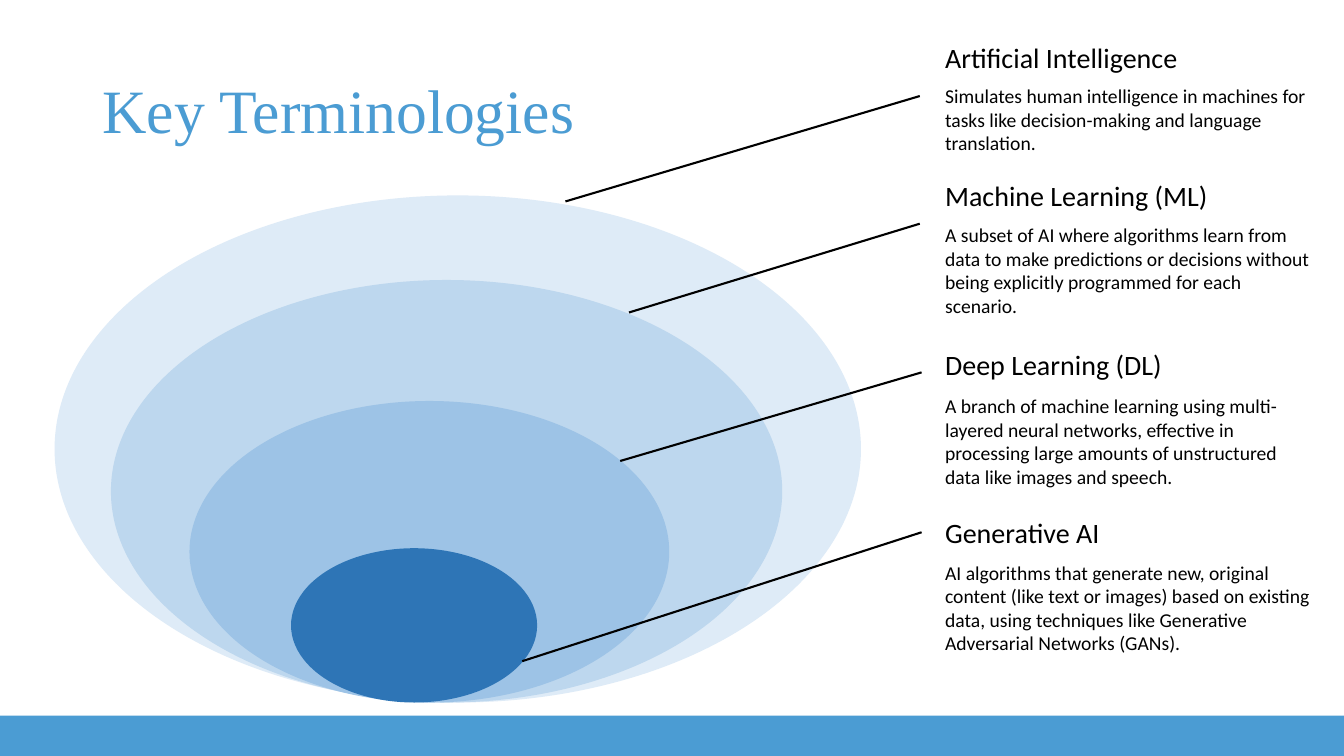
import pptx
import pptx.util
import pptx.dml.color
import pptx.enum.shapes
import pptx.enum.text
import pptx.oxml.ns
import lxml.etree

Pt = pptx.util.Pt
RGBColor = pptx.dml.color.RGBColor
SHAPES = pptx.enum.shapes.MSO_SHAPE
ALIGN = pptx.enum.text.PP_ALIGN
ANCHOR = pptx.enum.text.MSO_ANCHOR
FIT = pptx.enum.text.MSO_AUTO_SIZE

SKY = RGBColor(0x4B, 0x9C, 0xD3)
BLACK = RGBColor(0, 0, 0)
PALE = RGBColor(0xDE, 0xEB, 0xF7)
LIGHT = RGBColor(0xBD, 0xD7, 0xEE)
MEDIUM = RGBColor(0x9D, 0xC3, 0xE6)
DEEP = RGBColor(0x2E, 0x75, 0xB6)

TITLE_FONT = {"name": "Times New Roman", "size": Pt(44)}
HEADING_FONT = {"name": "Calibri", "size": Pt(20)}
BODY_FONT = {"name": "Calibri", "size": Pt(14)}

RINGS = [
    (327, 576, 362.2, PALE),
    (319, 479.5, 301.8, LIGHT),
    (306.7, 342.7, 215.4, MEDIUM),
    (295.8, 175.8, 110.2, DEEP),
]
LEADERS = [
    (403.9, 143.9, 657, 68.6),
    (449.3, 223.2, 657, 159.8),
    (443, 329.3, 658.3, 266),
    (373, 472.3, 658.3, 380.2),
]
TERMS = [
    (25.2, 183, 31.2, 58.3, "Artificial Intelligence",
     "Simulates human intelligence in machines for tasks like decision-making "
     "and language translation."),
    (124.2, 203.8, 31.6, 74.9, "Machine Learning (ML)",
     "A subset of AI where algorithms learn from data to make predictions or "
     "decisions without being explicitly programmed for each scenario."),
    (245, 170.6, 33, 74.9, "Deep Learning (DL)",
     "A branch of machine learning using multi-layered neural networks, effective "
     "in processing large amounts of unstructured data like images and speech."),
    (364.6, 126, 32.4, 74.9, "Generative AI",
     "AI algorithms that generate new, original content (like text or images) "
     "based on existing data, using techniques like Generative Adversarial "
     "Networks (GANs)."),
]


def write_text(frame, text, formats, colour):
    para = frame.paragraphs[0]
    span = para.add_run()
    span.text = text
    for name, value in formats.items():
        setattr(span.font, name, value)
    span.font.color.rgb = colour
    return para


def add_filled(shapes, kind, box, colour):
    shape = shapes.add_shape(kind, *map(Pt, box))
    shape.shadow.inherit = False
    shape.fill.solid()
    shape.fill.fore_color.rgb = colour
    shape.line.fill.background()


def add_label(shapes, box, text, formats, wrap):
    label = shapes.add_textbox(*map(Pt, box))
    frame = label.text_frame
    frame.word_wrap = wrap
    frame.auto_size = FIT.SHAPE_TO_FIT_TEXT
    write_text(frame, text, formats, BLACK)


def place_title(page, left, top, width, height):
    title = page.shapes.title
    title.left, title.top, title.width, title.height = map(Pt, (left, top, width, height))
    frame = title.text_frame
    frame.word_wrap = True
    frame.auto_size = FIT.NONE
    frame.vertical_anchor = ANCHOR.MIDDLE
    para = write_text(frame, "Key Terminologies", TITLE_FONT, SKY)
    para.alignment = ALIGN.LEFT
    para.line_spacing = 0.9


def draw_rings(page, bottom):
    group = page.shapes.add_group_shape()
    for centre, width, height, colour in RINGS:
        box = (centre - width / 2, bottom - height, width, height)
        add_filled(group.shapes, SHAPES.OVAL, box, colour)


def draw_leaders(page):
    straight = pptx.enum.shapes.MSO_CONNECTOR.STRAIGHT
    for ends in LEADERS:
        leader = page.shapes.add_connector(straight, *map(Pt, ends))
        leader.line.color.rgb = BLACK
        leader.line.width = Pt(1.5)
        lxml.etree.SubElement(leader._element.spPr, pptx.oxml.ns.qn("a:effectLst"))


def write_terms(page, left, width):
    for top, heading_width, offset, height, heading, body in TERMS:
        group = page.shapes.add_group_shape()
        add_label(group.shapes, (left, top, heading_width, 31.5), heading, HEADING_FONT, False)
        add_label(group.shapes, (left, top + offset, width, height), body, BODY_FONT, True)


def main():
    deck = pptx.Presentation()
    deck.slide_width, deck.slide_height = Pt(960), Pt(540)
    page = deck.slides.add_slide(deck.slide_layouts[5])
    place_title(page, 66, 28.8, 828, 104.4)
    add_filled(page.shapes, SHAPES.RECTANGLE, (0, 511.2, 960, 28.8), SKY)
    draw_rings(page, 501.8)
    draw_leaders(page)
    write_terms(page, 668, 278.6)
    deck.save("out.pptx")


if __name__ == "__main__":
    main()
